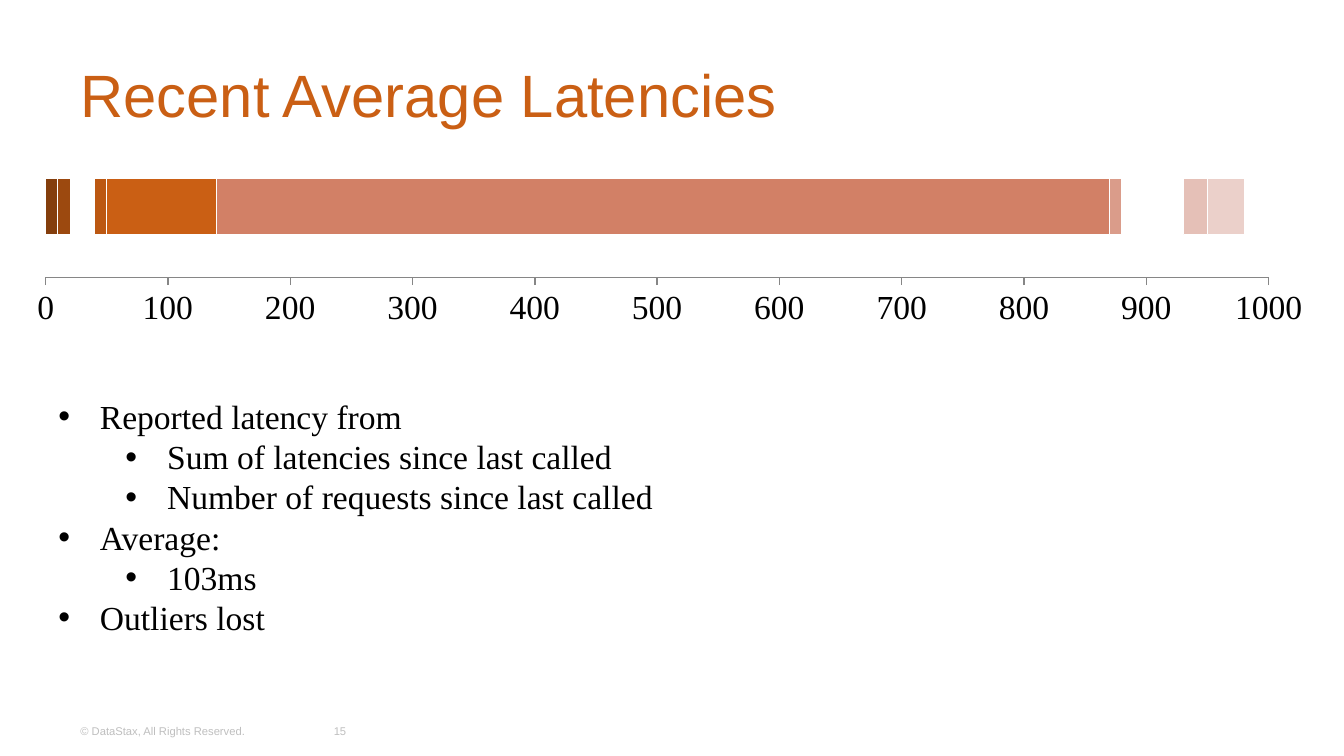
from lxml import etree
from pptx import Presentation, util as u
from pptx.chart.data import CategoryChartData
from pptx.dml.color import RGBColor
from pptx.enum import chart as ch, text
from pptx.oxml import ns

COLUMNS, ROWS = 100, 56.25
ORANGE = RGBColor(0xCA, 0x5F, 0x14)
GREY = RGBColor(0xBF, 0xBF, 0xBF)
AXIS_GREY = RGBColor(0x86, 0x86, 0x86)
BLACK = RGBColor(0, 0, 0)
WHITE = RGBColor(0xFF, 0xFF, 0xFF)
UMBER = RGBColor(0x84, 0x3E, 0x0D)
RUST = RGBColor(0x9C, 0x49, 0x0F)
COPPER = RGBColor(0xAC, 0x51, 0x11)
AMBER = RGBColor(0xBC, 0x58, 0x12)
CLAY = RGBColor(0xD2, 0x80, 0x66)
ROSE = RGBColor(0xDA, 0x9C, 0x8A)
BLUSH = RGBColor(0xE5, 0xC0, 0xB7)
PALE = RGBColor(0xEB, 0xD0, 0xCA)

TITLE = {"name": "Arial", "size": u.Pt(32), "color": ORANGE}
FOOTER = {"name": "Arial", "size": u.Pt(6), "color": GREY}
BODY = {"name": "Times New Roman", "size": u.Pt(18), "color": BLACK}

LATENCIES = [
    (10, UMBER), (10, RUST), (0, COPPER), (20, WHITE), (10, AMBER), (90, ORANGE),
    (730, CLAY), (10, ROSE), (50, WHITE), (20, BLUSH), (30, PALE),
]
POINTS = [
    (0, "Reported latency from"),
    (1, "Sum of latencies since last called"),
    (1, "Number of requests since last called"),
    (0, "Average:"),
    (1, "103ms"),
    (0, "Outliers lost"),
]


class LatencySlide:
    """Holds the slide, its grid and the style of each kind of element."""

    def __init__(self, deck):
        self.slide = deck.slides.add_slide(deck.slide_layouts[6])
        self.column = deck.slide_width / COLUMNS
        self.row = deck.slide_height / ROWS

    def place(self, left, top, width, height):
        return [round(n * unit) for n, unit in zip(
            (left, top, width, height), (self.column, self.row) * 2)]

    def style(self, font, look):
        for key, value in look.items():
            if key == "color":
                font.color.rgb = value
            else:
                setattr(font, key, value)

    def frame(self, cells, anchor):
        frame = self.slide.shapes.add_textbox(*self.place(*cells)).text_frame
        frame.word_wrap = True
        frame.vertical_anchor = anchor
        return frame

    def label(self, words, cells, look, align=text.PP_ALIGN.LEFT):
        line = self.frame(cells, text.MSO_ANCHOR.MIDDLE).paragraphs[0]
        line.alignment = align
        run = line.add_run()
        run.text = words
        self.style(run.font, look)

    def bullets(self, points, cells, look):
        frame = self.frame(cells, text.MSO_ANCHOR.TOP)
        for index, (level, words) in enumerate(points):
            point = frame.paragraphs[0] if index == 0 else frame.add_paragraph()
            point.level = level
            point.line_spacing = u.Pt(21.5)
            props = point._p.get_or_add_pPr()
            props.set("marL", str(u.Inches(0.31 + 0.5 * level)))
            props.set("indent", str(u.Inches(-0.31)))
            etree.SubElement(props, ns.qn("a:buFont")).set("typeface", "Arial")
            etree.SubElement(props, ns.qn("a:buChar")).set("char", "•")
            run = point.add_run()
            run.text = words
            self.style(run.font, look)

    def stacked_bar(self, latencies, cells, look, plot_cells):
        data = CategoryChartData()
        data.categories = ["1"]
        for number, (value, _) in enumerate(latencies, 1):
            data.add_series(f"Series {number}", [value])
        chart = self.slide.shapes.add_chart(
            ch.XL_CHART_TYPE.BAR_STACKED, *self.place(*cells), data).chart
        chart.has_legend = chart.has_title = False
        self.style(chart.font, look)
        plot = chart.plots[0]
        plot.gap_width, plot.overlap, plot.vary_by_categories = 150, 100, False
        for series, (_, color) in zip(plot.series, latencies):
            series.format.fill.solid()
            series.format.fill.fore_color.rgb = color
            series.format.line.color.rgb = WHITE
            series.format.line.width = u.Pt(0.5)
        chart.category_axis.visible = False
        scale = chart.value_axis
        for key, value in {
            "minimum_scale": 0, "maximum_scale": 1000, "major_unit": 100,
            "has_major_gridlines": False,
            "major_tick_mark": ch.XL_TICK_MARK.OUTSIDE,
        }.items():
            setattr(scale, key, value)
        scale.format.line.color.rgb = AXIS_GREY
        shares = [part / whole for part, whole in zip(plot_cells, cells[2:] * 2)]
        self.fix_plot(chart, dict(zip("xywh", shares)))

    def fix_plot(self, chart, shares):
        area = chart._chartSpace.chart.plotArea
        for old in area.findall(ns.qn("c:layout")):
            area.remove(old)
        layout = etree.Element(ns.qn("c:layout"))
        area.insert(0, layout)
        manual = etree.SubElement(layout, ns.qn("c:manualLayout"))
        settings = {"layoutTarget": "inner", "xMode": "edge", "yMode": "edge"}
        for key, value in {**settings, **shares}.items():
            etree.SubElement(manual, ns.qn(f"c:{key}")).set("val", str(value))


def main():
    deck = Presentation()
    deck.slide_width = u.Inches(10)
    deck.slide_height = deck.slide_width * 9 // 16
    page = LatencySlide(deck)
    page.label("Recent Average Latencies", (5, 2.3, 90, 9.4), TITLE)
    page.label("© DataStax, All Rights Reserved.", (5, 52.9, 17.4, 3), FOOTER)
    page.label("15", (23.1, 52.9, 4.4, 3), FOOTER, text.PP_ALIGN.CENTER)
    page.stacked_bar(LATENCIES, (0.8, 9.8, 98, 14.8), BODY, (2.6, 0.3, 91, 10.55))
    page.bullets(POINTS, (3.35, 29, 92.5, 19.2), BODY)
    deck.save("out.pptx")


if __name__ == "__main__":
    main()
